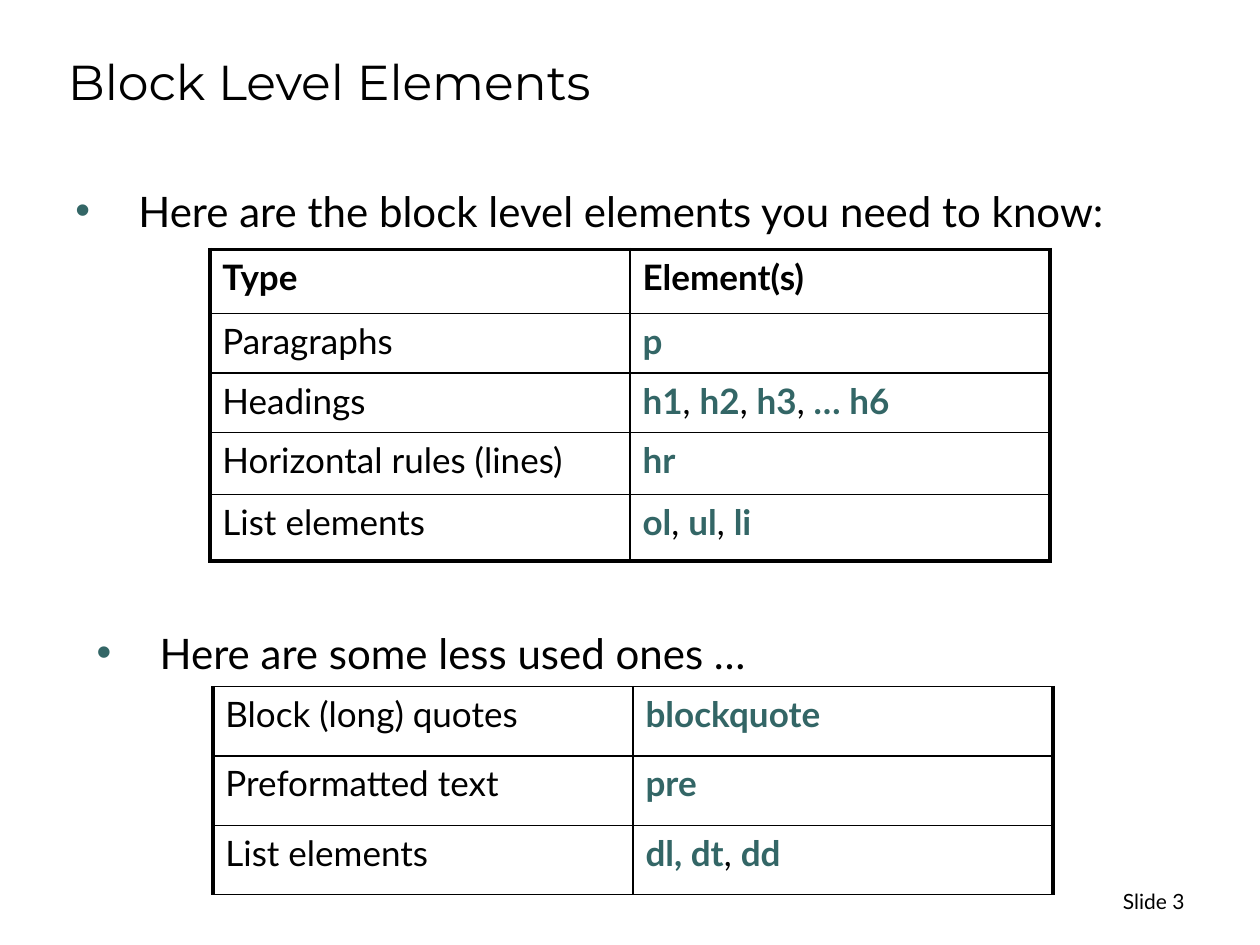
"""Build the slide on block level elements with its two element tables."""
import pptx
import pptx.dml.color
import pptx.enum.text
import pptx.oxml
import pptx.util
from pptx.util import Cm, Pt

BLACK, TEAL = "000000", "336666"
NS = 'xmlns:a="http://schemas.openxmlformats.org/drawingml/2006/main"'
ANCHOR = pptx.enum.text.MSO_ANCHOR
ALIGN = pptx.enum.text.PP_ALIGN


def add_run(paragraph, text, size, font="Lato", color=BLACK, bold=False):
    run = paragraph.add_run()
    run.text = text
    run.font.size = Pt(size)
    run.font.name = font
    run.font.bold = bold
    run.font.color.rgb = pptx.dml.color.RGBColor.from_string(color)


def add_text(left, top, width, height, text, size, font="Lato", anchor=ANCHOR.TOP):
    frame = slide.shapes.add_textbox(Cm(left), Cm(top), Cm(width), Cm(height)).text_frame
    frame.word_wrap = True
    frame.vertical_anchor = anchor
    add_run(frame.paragraphs[0], text, size, font)
    return frame.paragraphs[0]


presentation = pptx.Presentation()
presentation.slide_width = Cm(25.4)
presentation.slide_height = Cm(19.05)
slide = presentation.slides.add_slide(presentation.slide_layouts[6])

add_text(1.12, 0.64, 21.59, 1.7, "Block Level Elements", 28, "Montserrat", ANCHOR.BOTTOM)

for left, top, statement in [
    (1.27, 3.61, "Here are the block level elements you need to know:"),
    (1.7, 12.52, "Here are some less used ones …"),
]:
    properties = add_text(left, top, 22.71, 1.32, statement, 24)._p.get_or_add_pPr()
    properties.set("marL", str(Cm(1.27)))
    properties.set("indent", str(-Cm(1.27)))
    for bullet in (
        f'<a:buClr {NS}><a:srgbClr val="{TEAL}"/></a:buClr>',
        f'<a:buFont {NS} typeface="Arial"/>',
        f'<a:buChar {NS} char="•"/>',
    ):
        properties.append(pptx.oxml.parse_xml(bullet))

common_elements = [
    ("Type", ["Element(s)"]),
    ("Paragraphs", ["p"]),
    ("Headings", ["h1", "h2", "h3", "… h6"]),
    ("Horizontal rules (lines)", ["hr"]),
    ("List elements", ["ol", "ul", "li"]),
]
rarer_elements = [
    ("Block (long) quotes", ["blockquote"]),
    ("Preformatted text", ["pre"]),
    ("List elements", ["dl, dt", "dd"]),
]
for left, top, heights, entries, has_header, edge in [
    (4.23, 5.03, [1.29, 1.2, 1.2, 1.25, 1.34], common_elements, True, 2.25),
    (4.29, 13.84, [1.4] * 3, rarer_elements, False, 1),
]:
    table = slide.shapes.add_table(
        len(entries), 2, Cm(left), Cm(top), Cm(16.94), Cm(sum(heights))
    ).table
    table.first_row = False
    table.horz_banding = False
    for column in table.columns:
        column.width = Cm(8.47)
    for row, (kind, tags) in enumerate(entries):
        table.rows[row].height = Cm(heights[row])
        header = has_header and row == 0
        add_run(table.cell(row, 0).text_frame.paragraphs[0], kind, 20, bold=header)
        tag_line = table.cell(row, 1).text_frame.paragraphs[0]
        for position, tag in enumerate(tags):
            if position:
                add_run(tag_line, ", ", 20)
            add_run(tag_line, tag, 20, color=BLACK if header else TEAL, bold=True)
        for column in range(2):
            cell = table.cell(row, column)
            borders = {
                "lnL": 2.25 if column == 0 else 1,
                "lnR": 2.25 if column == 1 else 1,
                "lnT": edge if row == 0 else 1,
                "lnB": edge if row == len(entries) - 1 else 1,
            }
            for side, weight in borders.items():
                cell._tc.get_or_add_tcPr().append(pptx.oxml.parse_xml(
                    f'<a:{side} {NS} w="{Pt(weight)}"><a:solidFill>'
                    f'<a:srgbClr val="{BLACK}"/></a:solidFill></a:{side}>'
                ))
            cell.fill.background()

add_text(18.21, 17.65, 5.92, 1.02, "Slide 3", 12, anchor=ANCHOR.MIDDLE).alignment = ALIGN.RIGHT

presentation.save("out.pptx")
